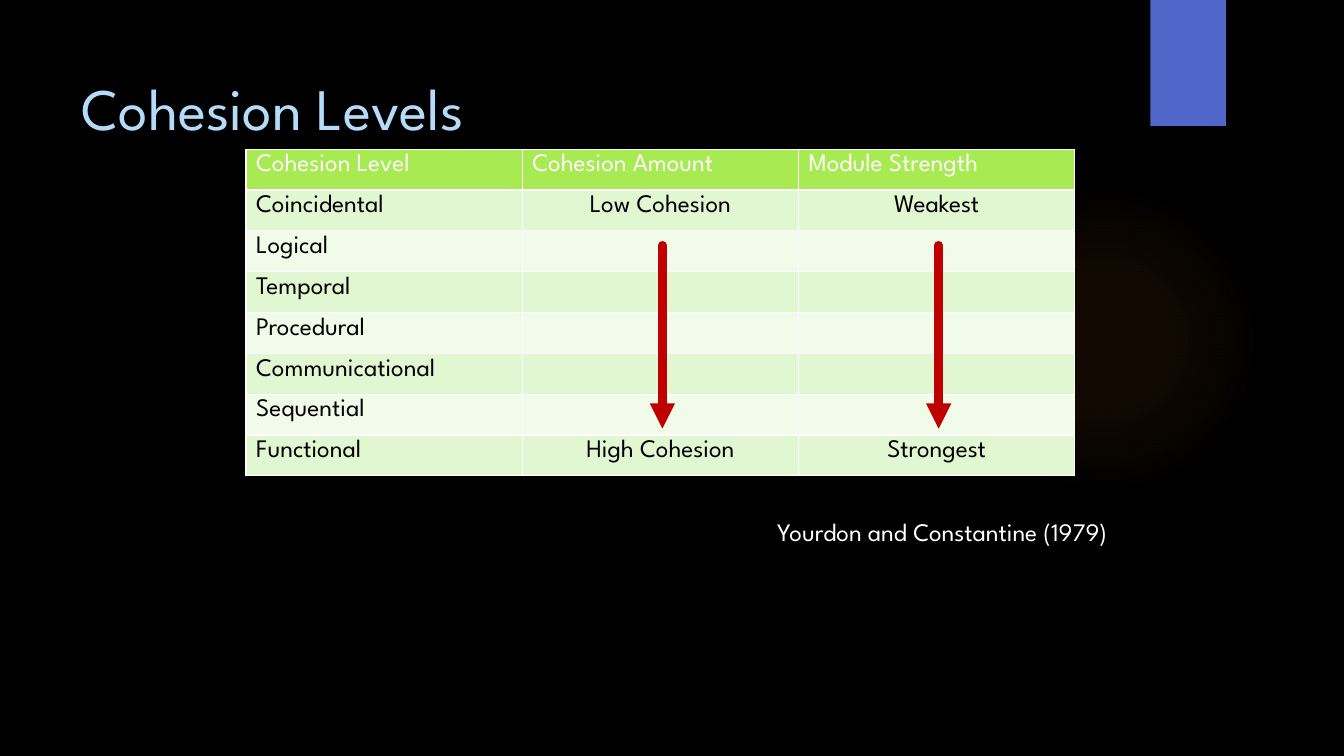
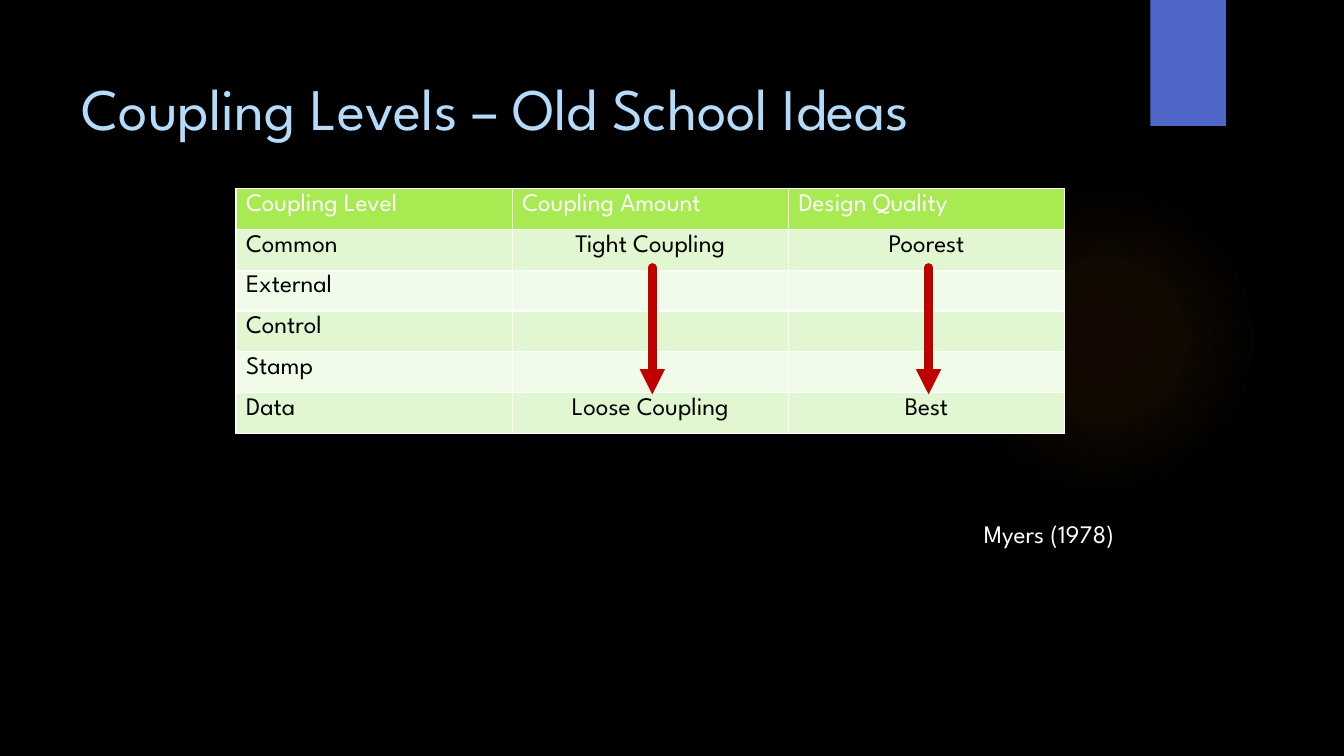
from dataclasses import dataclass

from lxml import etree
from pptx import Presentation
from pptx import util as u
from pptx.dml.color import RGBColor
from pptx.enum import shapes, text
from pptx.oxml import ns, parse_xml


@dataclass(frozen=True)
class Theme:
    font: str = "League Spartan"
    title_size: int = 42
    body_size: int = 18
    background: str = "000000"
    title: str = "B4DCFA"
    band: str = "4E67C8"
    glow: str = "FF8021"
    header: str = "A7EA52"
    stripes: tuple = ("E1F7D1", "F1FBE9")
    light: str = "FFFFFF"
    dark: str = "000000"
    arrow: str = "C00000"


theme = Theme()
WIDTH, HEIGHT = u.Inches(13.33), u.Inches(7.5)
COLUMN, ROW = u.Inches(2.74), HEIGHT / 18.5
DRAWING = ns.nsdecls("a")


def style(paragraph, size, color, alignment=text.PP_ALIGN.LEFT):
    paragraph.alignment = alignment
    paragraph.font.name = theme.font
    paragraph.font.size = u.Pt(size)
    paragraph.font.bold = False
    paragraph.font.color.rgb = RGBColor.from_string(color)


levels = [
    {
        "title": "Cohesion Levels",
        "header": ["Cohesion Level", "Cohesion Amount", "Module Strength"],
        "names": ["Coincidental", "Logical", "Temporal", "Procedural",
                  "Communicational", "Sequential", "Functional"],
        "first": ["Low Cohesion", "Weakest"],
        "last": ["High Cohesion", "Strongest"],
        "corner": (2.44, 1.48),
        "arrow_rows": (2.35, 6.84),
        "source": "Yourdon and Constantine (1979)",
        "source_box": (7.61, 4.99, 4.18, 0.4),
    },
    {
        "title": "Coupling Levels – Old School Ideas",
        "header": ["Coupling Level", "Coupling Amount", "Design Quality"],
        "names": ["Common", "External", "Control", "Stamp", "Data"],
        "first": ["Tight Coupling", "Poorest"],
        "last": ["Loose Coupling", "Best"],
        "corner": (2.34, 1.87),
        "arrow_rows": (1.93, 5.04),
        "source": "Myers (1978)",
        "source_box": (9.66, 5.01, 1.92, 0.4),
    },
]

presentation = Presentation()
presentation.slide_width, presentation.slide_height = WIDTH, HEIGHT
layout = presentation.slide_layouts[5]
layout.background.fill.solid()
layout.background.fill.fore_color.rgb = RGBColor.from_string(theme.background)
slides = [presentation.slides.add_slide(layout) for _ in levels]

decorations = [
    (shapes.MSO_SHAPE.OVAL, theme.glow, (9.41, 1.83, 3.08, 3.08)),
    (shapes.MSO_SHAPE.RECTANGLE, theme.band, (11.41, 0, 0.75, 1.25)),
]
for number, (kind, color, box) in enumerate(decorations):
    shape = slides[0].shapes.add_shape(kind, *map(u.Inches, box))
    shape.shadow.inherit = False
    shape.line.fill.background()
    shape.fill.solid()
    shape.fill.fore_color.rgb = RGBColor.from_string(color)
    if color == theme.glow:
        stops = "".join(
            f'<a:gs pos="{position * 1000}"><a:srgbClr val="{color}">'
            f'<a:alpha val="{alpha * 1000}"/></a:srgbClr></a:gs>'
            for position, alpha in [(0, 7), (36, 6), (69, 0)])
        gradient = parse_xml(
            f'<a:gradFill {DRAWING}><a:gsLst>{stops}</a:gsLst><a:path path="circle">'
            '<a:fillToRect l="50000" t="50000" r="50000" b="50000"/></a:path></a:gradFill>')
        properties = shape.element.spPr
        properties.replace(properties.find(ns.qn("a:solidFill")), gradient)
    shape.element.nvSpPr.cNvPr.set("id", str(100 + number))
    layout.shapes.element.insert(2 + number, shape.element)

for slide, level in zip(slides, levels):
    title = slide.shapes.title
    title.left, title.top, title.width, title.height = map(u.Inches, (0.71, 0.5, 10.29, 1.53))
    title.text_frame.text = level["title"]
    title.text_frame.auto_size = text.MSO_AUTO_SIZE.NONE
    title.text_frame.vertical_anchor = text.MSO_ANCHOR.TOP
    title.text_frame.margin_top = u.Inches(0.21)
    style(title.text_frame.paragraphs[0], theme.title_size, theme.title)

    blanks = [[name, "", ""] for name in level["names"][1:-1]]
    rows = [level["header"], [level["names"][0], *level["first"]], *blanks,
            [level["names"][-1], *level["last"]]]
    left, top = map(u.Inches, level["corner"])
    table = slide.shapes.add_table(
        len(rows), 3, left, top, 3 * COLUMN, int(len(rows) * ROW)).table
    table.first_row = table.horz_banding = False
    for column in table.columns:
        column.width = COLUMN
    for row_index, values in enumerate(rows):
        table.rows[row_index].height = int(ROW)
        is_header = row_index == 0
        fill = theme.header if is_header else theme.stripes[(row_index - 1) % 2]
        for column_index, value in enumerate(values):
            cell = table.cell(row_index, column_index)
            cell.text = value
            centred = column_index and not is_header
            style(cell.text_frame.paragraphs[0], theme.body_size,
                  theme.light if is_header else theme.dark,
                  text.PP_ALIGN.CENTER if centred else text.PP_ALIGN.LEFT)
            borders = cell._tc.get_or_add_tcPr()
            for side in ("lnL", "lnR", "lnT", "lnB"):
                borders.append(parse_xml(
                    f'<a:{side} {DRAWING} w="{u.Pt(1)}"><a:solidFill>'
                    f'<a:srgbClr val="{theme.light}"/></a:solidFill></a:{side}>'))
            cell.fill.solid()
            cell.fill.fore_color.rgb = RGBColor.from_string(fill)

    start, end = (int(top + row * ROW) for row in level["arrow_rows"])
    for column_index in (1, 2):
        center = int(left + (column_index + 0.5) * COLUMN + u.Inches(0.02))
        arrow = slide.shapes.add_connector(
            shapes.MSO_CONNECTOR.STRAIGHT, center, start, center, end)
        arrow.line.width = u.Pt(6)
        arrow.line.color.rgb = RGBColor.from_string(theme.arrow)
        outline = arrow.line._get_or_add_ln()
        outline.set("cap", "rnd")
        etree.SubElement(outline, ns.qn("a:round"))
        etree.SubElement(outline, ns.qn("a:tailEnd"), type="triangle")
        etree.SubElement(arrow.element.spPr, ns.qn("a:effectLst"))

    source = slide.shapes.add_textbox(*map(u.Inches, level["source_box"])).text_frame
    source.text = level["source"]
    source.word_wrap = True
    source.margin_top = u.Inches(0.13)
    style(source.paragraphs[0], theme.body_size, theme.light)

presentation.save("out.pptx")
